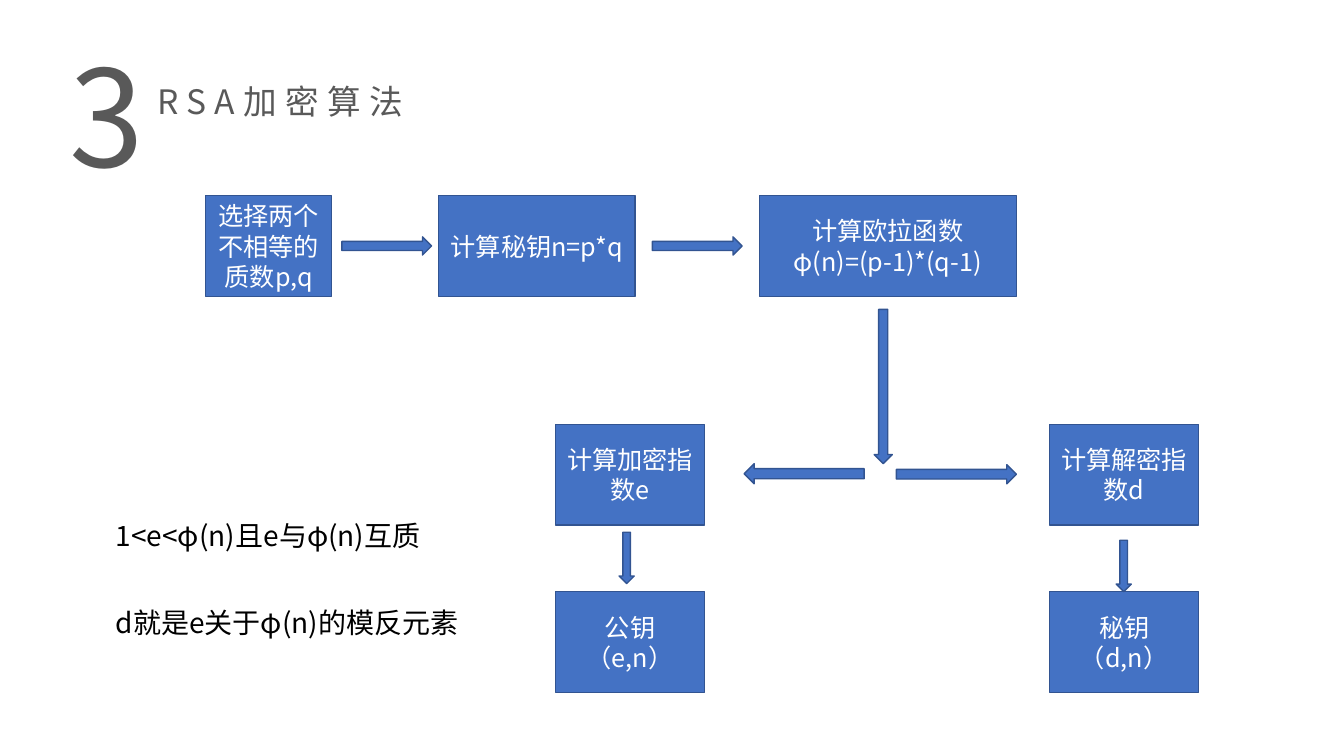
from lxml import etree
from pptx import Presentation
from pptx.dml.color import RGBColor
from pptx.enum.shapes import MSO_SHAPE
from pptx.enum.text import MSO_ANCHOR, MSO_AUTO_SIZE, PP_ALIGN
from pptx.oxml.ns import qn
from pptx.util import Pt

EMU_PER_PX = 9144  # 100 px to the inch
RECT = MSO_SHAPE.RECTANGLE
RIGHT, LEFT, DOWN = MSO_SHAPE.RIGHT_ARROW, MSO_SHAPE.LEFT_ARROW, MSO_SHAPE.DOWN_ARROW
MIDDLE, TOP = MSO_ANCHOR.MIDDLE, MSO_ANCHOR.TOP
GROW = MSO_AUTO_SIZE.SHAPE_TO_FIT_TEXT
CENTER, START = PP_ALIGN.CENTER, PP_ALIGN.LEFT

COLORS = {"fill": "4472C4", "line": "325491", "box": "FFFFFF",
          "heading": "595959", "note": "000000"}
SANS_SC, SANS_JP = "Noto Sans CJK SC", "Noto Sans CJK JP"


class FlowSlide:
    def __init__(self, slide):
        self.slide = slide

    @staticmethod
    def px(*lengths):
        return [length * EMU_PER_PX for length in lengths]

    @staticmethod
    def color(name):
        return RGBColor.from_string(COLORS[name])

    def fill_text(self, frame, text, size, color, align=START, font=SANS_SC,
                  line_spacing=None, tracking=0):
        for index, line in enumerate(text.split("\n")):
            paragraph = frame.add_paragraph() if index else frame.paragraphs[0]
            run = paragraph.add_run()
            run.text = line
            run.font.color.rgb = self.color(color)
            formats = {
                paragraph: {"alignment": align, "line_spacing": line_spacing},
                run.font: {"size": Pt(size), "name": font},
            }
            for target, values in formats.items():
                for attribute, value in values.items():
                    setattr(target, attribute, value)
            properties = run._r.get_or_add_rPr()
            etree.SubElement(properties, qn("a:ea")).set("typeface", font)
            if tracking:
                properties.set("spc", str(tracking * 100))

    def text(self, place, text, size, color, **style):
        frame = self.slide.shapes.add_textbox(*self.px(*place)).text_frame
        for attribute, value in {"word_wrap": True, "auto_size": GROW,
                                 "vertical_anchor": TOP}.items():
            setattr(frame, attribute, value)
        self.fill_text(frame, text, size, color, **style)

    def block(self, kind, place):
        block = self.slide.shapes.add_shape(kind, *self.px(*place))
        block.shadow.inherit = False
        block.fill.solid()
        block.fill.fore_color.rgb = self.color("fill")
        block.line.color.rgb = self.color("line")
        block.line.width = Pt(1)
        return block

    def step(self, left, top, width, text):
        frame = self.block(RECT, (left, top, width, 100)).text_frame
        frame.word_wrap = True
        frame.vertical_anchor = MIDDLE
        self.fill_text(frame, text, 18, "box", align=CENTER)


def main():
    deck = Presentation()
    deck.slide_width, deck.slide_height = FlowSlide.px(1333, 750)
    flow = FlowSlide(deck.slides.add_slide(deck.slide_layouts[6]))

    # Heading and section number
    flow.text((146, 65, 405, 60), "RSA加密算法", 24, "heading",
              line_spacing=1.25, tracking=6)
    flow.text((59, -12, 71, 193), "3", 96, "heading", align=CENTER,
              font=SANS_JP, line_spacing=1.25)

    # Shared steps in the top row
    for left, width, text in [
        (204, 125, "选择两个不相等的质数p,q"),
        (435, 195, "计算秘钥n=p*q"),
        (753, 255, "计算欧拉函数\nφ(n)=(p-1)*(q-1)"),
    ]:
        flow.step(left, 194, width, text)

    # Public and private key branches
    branches = [(551, "计算加密指数e", "公钥（e,n）"),
                (1041, "计算解密指数d", "秘钥（d,n）")]
    for left, exponent, key in branches:
        for top, text in [(421, exponent), (587, key)]:
            flow.step(left, top, 148, text)

    # Arrows between the steps
    for kind, *place in [
        (RIGHT, 339, 235, 89, 18),
        (RIGHT, 647, 235, 89, 18),
        (DOWN, 867, 307, 18, 153),
        (LEFT, 738, 460, 119, 20),
        (RIGHT, 889, 461, 119, 19),
        (DOWN, 614, 528, 15, 51),
        (DOWN, 1107, 536, 15, 51),
    ]:
        flow.block(kind, place)

    # Conditions on the exponents
    for top, width, text in [(509, 330, "1<e<φ(n)且e与φ(n)互质"),
                             (596, 403, "d就是e关于φ(n)的模反元素")]:
        flow.text((105, top, width, 44), text, 20, "note")

    deck.save("out.pptx")


if __name__ == "__main__":
    main()
